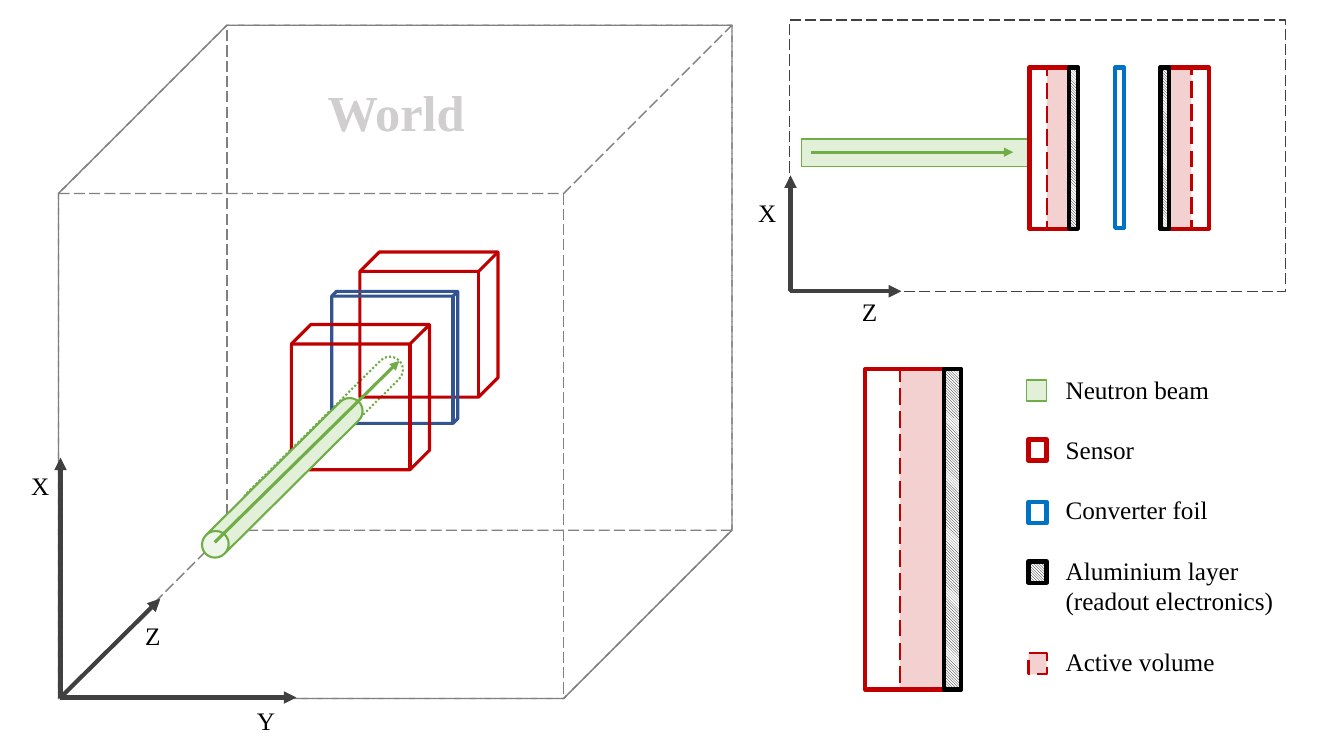
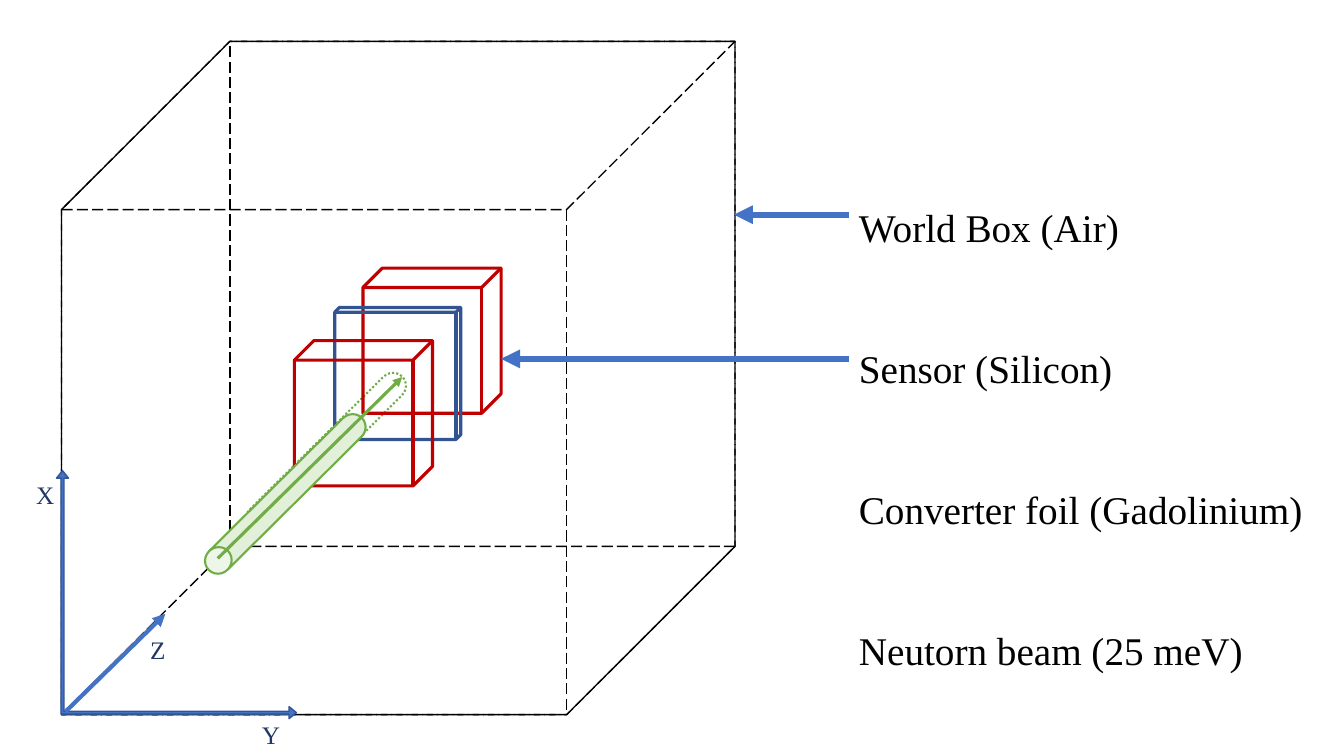
from dataclasses import dataclass
from typing import Optional

from lxml.etree import SubElement
from pptx import Presentation
from pptx.dml.color import RGBColor
from pptx.enum.dml import MSO_LINE, MSO_PATTERN
from pptx.enum.shapes import MSO_CONNECTOR, MSO_SHAPE
from pptx.enum.text import MSO_ANCHOR, MSO_AUTO_SIZE
from pptx.oxml.ns import qn
from pptx.util import Inches, Pt

FONT = "Times New Roman"
COLORS = {
    "black": "000000",
    "white": "FFFFFF",
    "axis": "404040",
    "world": "808080",
    "title": "D0CECE",
    "beam": "70AD47",
    "beam_fill": "E2F0D9",
    "sensor": "C00000",
    "foil": "0072C3",
    "foil_cube": "325491",
    "blue": "4472C4",
    "navy": "203864",
}
Box = tuple[float, float, float, float]
Point = tuple[float, float]


@dataclass(frozen=True)
class Look:
    line: str
    width: float
    dash: Optional[MSO_LINE] = None
    fill: Optional[str] = None
    opacity: Optional[int] = None
    hatched: bool = False


BEAM = Look("beam", 1.5, fill="beam_fill")
BEAM_INSIDE = Look("beam", 1.5, MSO_LINE.ROUND_DOT)
BEAM_FLAT = Look("beam", 1, fill="beam_fill")
SENSOR_CUBE = Look("sensor", 2.25)
FOIL_CUBE = Look("foil_cube", 2.25)
SENSOR = Look("sensor", 3)
FOIL = Look("foil", 3)
ALUMINIUM = Look("black", 3, hatched=True)
ACTIVE = Look("sensor", 1.5, MSO_LINE.LONG_DASH, "sensor", 18)


@dataclass(frozen=True)
class Label:
    text: str
    left: float
    top: float


@dataclass(frozen=True)
class LegendEntry:
    text: str
    swatch: Box
    look: Look
    rotation: float = 0


LEGEND = [
    LegendEntry("Neutron beam", (10.18, 3.77, 0.2, 0.21), BEAM_FLAT),
    LegendEntry("Sensor", (10.2, 4.36, 0.18, 0.21), SENSOR),
    LegendEntry("Converter foil", (10.2, 4.98, 0.18, 0.21), FOIL),
    LegendEntry("Aluminium layer\n(readout electronics)",
                (10.2, 5.57, 0.18, 0.21), ALUMINIUM, 180),
    LegendEntry("Active volume", (10.2, 6.48, 0.18, 0.21), ACTIVE, 180),
]
MATERIALS = ["World Box (Air)", "Sensor (Silicon)",
             "Converter foil (Gadolinium)", "Neutorn beam (25 meV)"]


def rgb(name: str) -> RGBColor:
    return RGBColor.from_string(COLORS[name])


def draw(slide, kind: MSO_SHAPE, box: Box, look: Look,
         rotation: float = 0, adjust: tuple[float, ...] = ()) -> None:
    shape = slide.shapes.add_shape(kind, *map(Inches, box))
    shape.shadow.inherit = False
    shape.rotation = rotation
    for index, value in enumerate(adjust):
        shape.adjustments[index] = value
    shape.line.color.rgb = rgb(look.line)
    shape.line.width = Pt(look.width)
    if look.dash:
        shape.line.dash_style = look.dash
    if look.hatched:
        shape.fill.patterned()
        shape.fill.pattern = MSO_PATTERN.LIGHT_DOWNWARD_DIAGONAL
        shape.fill.fore_color.rgb = rgb("black")
        shape.fill.back_color.rgb = rgb("white")
    elif look.fill:
        shape.fill.solid()
        shape.fill.fore_color.rgb = rgb(look.fill)
        if look.opacity:
            tint = shape.element.spPr.find(qn("a:solidFill"))[0]
            SubElement(tint, qn("a:alpha"), val=str(look.opacity * 1000))
    else:
        shape.fill.background()


def arrow(slide, start: Point, end: Point, color: str, width: float) -> None:
    connector = slide.shapes.add_connector(
        MSO_CONNECTOR.STRAIGHT, *map(Inches, (*start, *end)))
    connector.line.color.rgb = rgb(color)
    connector.line.width = Pt(width)
    properties = connector.element.spPr
    SubElement(properties.find(qn("a:ln")), qn("a:tailEnd"), type="triangle")
    SubElement(properties, qn("a:effectLst"))


def write(slide, box: Box, lines: list[str], size: float,
          color: str = "black", bold: bool = False, wrap: bool = False):
    frame = slide.shapes.add_textbox(*map(Inches, box)).text_frame
    frame.word_wrap = wrap
    frame.auto_size = MSO_AUTO_SIZE.SHAPE_TO_FIT_TEXT
    frame.text = "\n".join(lines)
    for paragraph in frame.paragraphs:
        for run in paragraph.runs:
            run.font.name = FONT
            run.font.size = Pt(size)
            run.font.bold = bold
            run.font.color.rgb = rgb(color)
    return frame


def axis_labels(slide, labels: list[Label], color: str) -> None:
    for label in labels:
        write(slide, (label.left, label.top, 0.38, 0.4), [label.text], 18, color)


def detector_scene(slide, dx: float, dy: float, world_color: str) -> None:
    """Draw the world box, both sensors, the foil and the beam, shifted by dx, dy."""
    def solid(kind: MSO_SHAPE, box: Box, look: Look,
              rotation: float = 0, adjust: tuple[float, ...] = ()) -> None:
        left, top, width, height = box
        draw(slide, kind, (left + dx, top + dy, width, height),
             look, rotation, adjust)

    solid(MSO_SHAPE.CAN, (3.07, 3.26, 0.26, 2.14), BEAM_INSIDE, 225.2, (1.033,))
    solid(MSO_SHAPE.CUBE, (3.57, 2.5, 1.37, 1.44), SENSOR_CUBE, 0, (0.141,))
    solid(MSO_SHAPE.CUBE, (3.29, 2.89, 1.25, 1.31), FOIL_CUBE, 0, (0.038,))
    solid(MSO_SHAPE.CUBE, (2.89, 3.22, 1.37, 1.44), SENSOR_CUBE, 0, (0.141,))
    for rotation in (0, 180):
        solid(MSO_SHAPE.CUBE, (0.58, 0.25, 6.68, 6.68),
              Look(world_color, 1, MSO_LINE.LONG_DASH), rotation)
    solid(MSO_SHAPE.CAN, (2.67, 3.67, 0.26, 2.14), BEAM, 225.2, (1.033,))
    arrow(slide, (2.13 + dx, 5.38 + dy), (3.96 + dx, 3.58 + dy), "beam", 2.25)


def sensor_section(slide, box: Box, mirrored: bool = False) -> None:
    """Draw a sensor cut open; the aluminium is on the right unless mirrored."""
    left, top, width, height = box
    aluminium, active = 0.18 * width, 0.46 * width
    if mirrored:
        aluminium_left, active_left = left, left + aluminium
    else:
        aluminium_left = left + width - aluminium
        active_left = aluminium_left - active
    rotation = 0 if mirrored else 180
    for part_left, part_width, look in (
            (active_left, active, ACTIVE),
            (left, width, SENSOR),
            (aluminium_left, aluminium, ALUMINIUM)):
        draw(slide, MSO_SHAPE.RECTANGLE, (part_left, top, part_width, height),
             look, rotation)


def legend(slide) -> None:
    lines = [line for entry in LEGEND for line in entry.text.split("\n")]
    frame = write(slide, (10.47, 3.66, 2.28, 4.04), lines, 18)
    entry_starts = {entry.text.split("\n")[0] for entry in LEGEND[1:]}
    for paragraph in frame.paragraphs:
        if paragraph.text in entry_starts:
            paragraph.space_before = Pt(21.6)
    for entry in LEGEND:
        draw(slide, MSO_SHAPE.RECTANGLE, entry.swatch, entry.look, entry.rotation)


def setup_slide(slide) -> None:
    draw(slide, MSO_SHAPE.RECTANGLE, (7.95, 1.38, 2.24, 0.27), BEAM_FLAT)
    detector_scene(slide, 0, 0, "world")
    write(slide, (3.15, 0.76, 1.61, 0.71), ["World"], 36, "title",
          bold=True, wrap=True)
    draw(slide, MSO_SHAPE.RECTANGLE, (7.83, 0.2, 4.92, 2.69),
         Look("axis", 1, MSO_LINE.LONG_DASH))
    scene_origin, section_origin = (0.6, 6.92), (7.84, 2.89)
    for origin, tip in (
            (scene_origin, (1.59, 5.94)),
            (scene_origin, (2.94, 6.92)),
            (scene_origin, (0.6, 4.54)),
            (section_origin, (8.94, 2.89)),
            (section_origin, (7.84, 1.74))):
        arrow(slide, origin, tip, "axis", 3)
    axis_labels(slide, [
        Label("X", 0.21, 4.62), Label("Y", 2.45, 6.95), Label("Z", 1.34, 6.1),
        Label("X", 7.42, 1.91), Label("Z", 8.45, 2.89)], "black")
    arrow(slide, (8.04, 1.51), (10.05, 1.51), "beam", 2.25)
    sensor_section(slide, (8.58, 3.66, 0.95, 3.18))
    sensor_section(slide, (11.51, 0.67, 0.48, 1.6), mirrored=True)
    sensor_section(slide, (10.21, 0.67, 0.48, 1.6))
    draw(slide, MSO_SHAPE.RECTANGLE, (11.06, 0.67, 0.09, 1.59), FOIL)
    legend(slide)


def materials_slide(slide) -> None:
    detector_scene(slide, 0.03, 0.16, "black")
    draw(slide, MSO_SHAPE.LEFT_UP_ARROW, (0.52, 4.71, 2.46, 2.38),
         Look("foil_cube", 1, fill="blue"), 90, (0.012, 0.025, 0.031))
    arrow(slide, (0.65, 7.06), (1.64, 6.09), "blue", 3)
    axis_labels(slide, [Label("X", 0.26, 4.71), Label("Y", 2.5, 7.09),
                        Label("Z", 1.39, 6.24)], "navy")
    frame = write(slide, (8.42, 1.12, 4.65, 5.52), MATERIALS, 28)
    frame.vertical_anchor = MSO_ANCHOR.MIDDLE
    for paragraph in frame.paragraphs:
        paragraph.line_spacing = 3.0
    for target_x, y in ((7.28, 2.13), (4.97, 3.56)):
        arrow(slide, (8.42, y), (target_x, y), "blue", 4.5)


def main() -> None:
    deck = Presentation()
    deck.slide_width, deck.slide_height = Inches(13.33), Inches(7.5)
    blank = deck.slide_layouts[6]
    for build in (setup_slide, materials_slide):
        build(deck.slides.add_slide(blank))
    deck.save("out.pptx")


if __name__ == "__main__":
    main()
